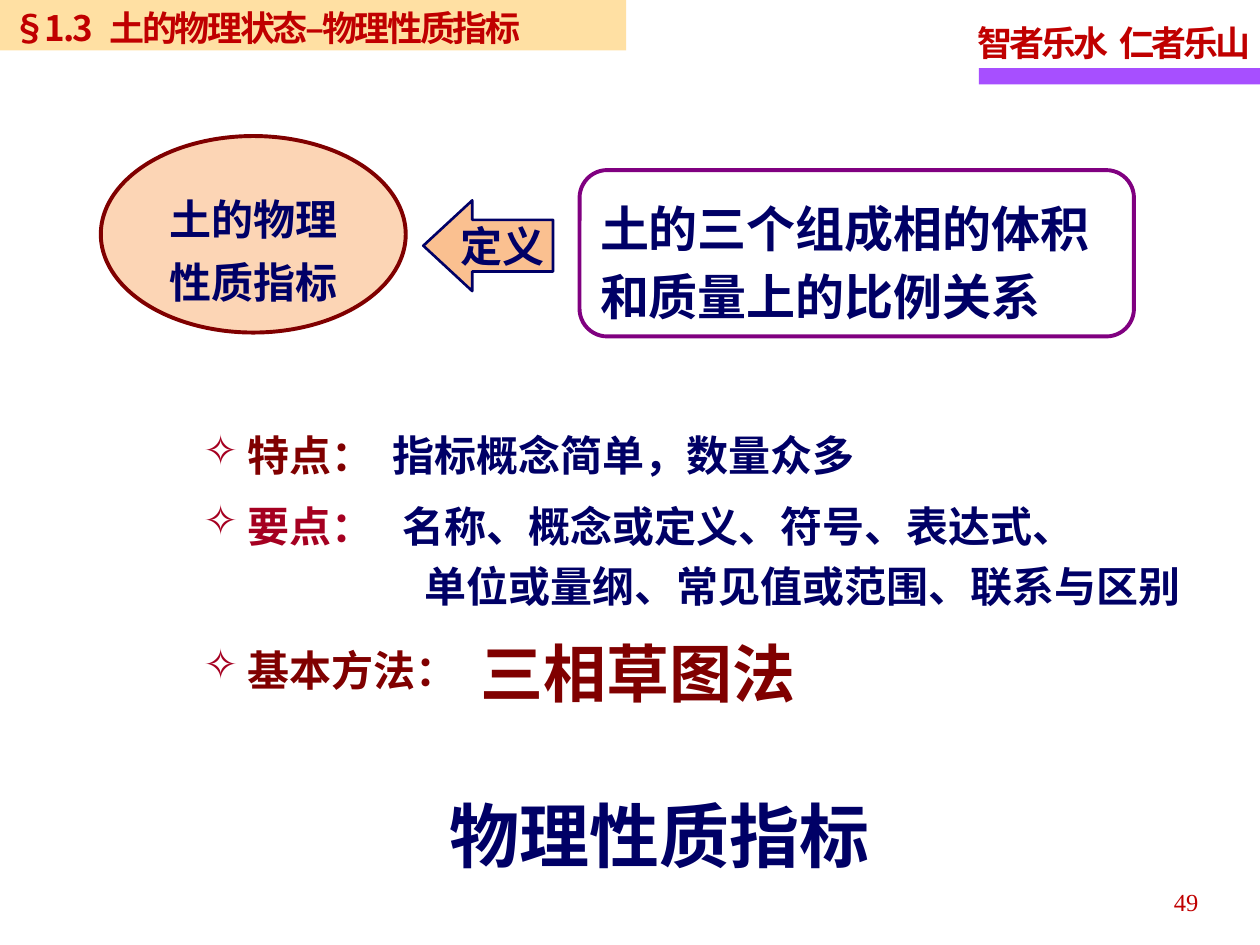
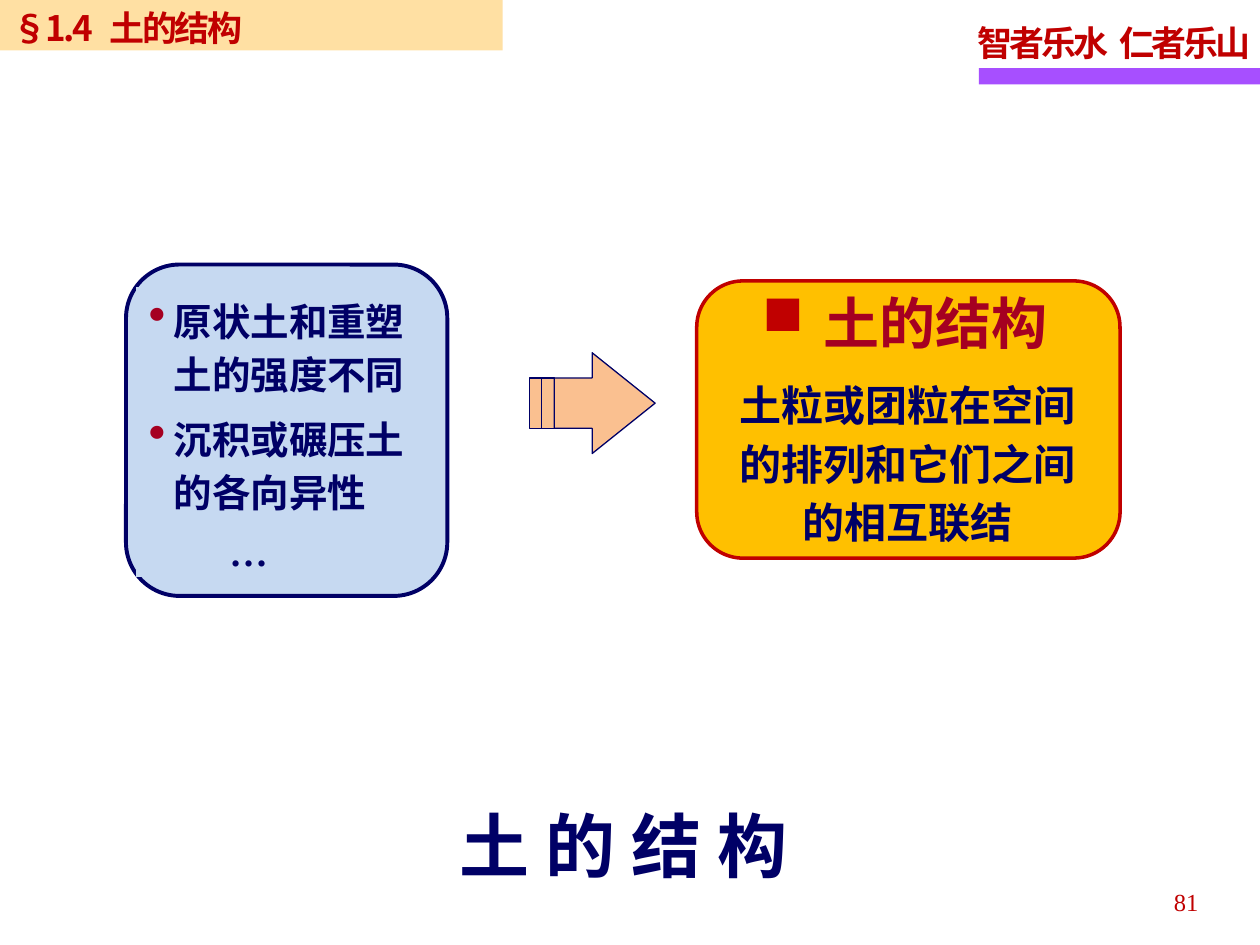
from lxml.etree import SubElement
from pptx import Presentation
from pptx.dml.color import RGBColor
from pptx.enum.shapes import MSO_SHAPE
from pptx.enum.text import MSO_ANCHOR, MSO_AUTO_SIZE, PP_ALIGN
from pptx.oxml.ns import qn
from pptx.util import Inches, Pt

COLORS = {
    "navy": "000066", "maroon": "800000", "crimson": "A50021", "red": "C00000",
    "purple": "800080", "violet": "A74FFF", "sand": "FFCC66", "peach": "FCD5B5",
    "orange": "FAC090", "gold": "FFC000", "sky": "C6D9F1",
}
COLUMNS, ROWS = 100, 75
CELL = Inches(0.1)
SERIF, SANS, HAN = "Times New Roman", "Arial", "Noto Sans CJK SC"


def cells(*lengths):
    return [round(length * CELL) for length in lengths]


def color(name):
    return RGBColor.from_string(COLORS[name])


def add_run(paragraph, text, size=24, font=HAN, ink="navy", bold=True, spacing=0):
    run = paragraph.add_run()
    run.text = text
    run.font.size = Pt(size)
    run.font.bold = bold
    run.font.color.rgb = color(ink)
    run.font.name = font
    properties = run._r.get_or_add_rPr()
    SubElement(properties, qn("a:ea"), typeface=HAN)
    if spacing:
        properties.set("spc", str(round(spacing * 100)))


def format_paragraph(paragraph, align=PP_ALIGN.LEFT, line=None, before=0,
                     margin=0, hanging=0, bullet=None, bullet_ink="crimson",
                     bullet_scale=100):
    paragraph.alignment = align
    paragraph.space_before = Pt(before)
    paragraph.space_after = Pt(0)
    if line:
        paragraph.line_spacing = Pt(line)
    properties = paragraph._p.get_or_add_pPr()
    margin, hanging = cells(margin, hanging)
    properties.set("marL", str(margin))
    properties.set("indent", str(-hanging))
    if bullet:
        bullet_color = SubElement(properties, qn("a:buClr"))
        SubElement(bullet_color, qn("a:srgbClr"), val=COLORS[bullet_ink])
        SubElement(properties, qn("a:buSzPct"), val=str(bullet_scale * 1000))
        SubElement(properties, qn("a:buChar"), char=bullet)
    else:
        SubElement(properties, qn("a:buNone"))


def para(*runs, **layout):
    return runs, layout


def write(frame, paragraphs, insets=(0, 0, 0, 0), anchor=MSO_ANCHOR.MIDDLE,
          wrap=True, layout=None, **style):
    frame.word_wrap = wrap
    frame.auto_size = MSO_AUTO_SIZE.NONE
    frame.vertical_anchor = anchor
    (frame.margin_left, frame.margin_top,
     frame.margin_right, frame.margin_bottom) = cells(*insets)
    if isinstance(paragraphs, str):
        paragraphs = [para((paragraphs, {}))]
    for index, (runs, own_layout) in enumerate(paragraphs):
        paragraph = frame.add_paragraph() if index else frame.paragraphs[0]
        format_paragraph(paragraph, **{**(layout or {}), **own_layout})
        for text, own_style in runs:
            add_run(paragraph, text, **{**style, **own_style})


def paint(shape, fill=None, line=None, width=2.25, opacity=100):
    shape.shadow.inherit = False
    if fill:
        shape.fill.solid()
        shape.fill.fore_color.rgb = color(fill)
        if opacity < 100:
            tint = shape.fill._xPr.find(".//" + qn("a:srgbClr"))
            SubElement(tint, qn("a:alpha"), val=str(opacity * 1000))
    else:
        shape.fill.background()
    if line:
        shape.line.color.rgb = color(line)
        shape.line.width = Pt(width)
    else:
        shape.line.fill.background()


def add_panel(slide, kind, place, adjust=(), **look):
    panel = slide.shapes.add_shape(kind, *cells(*place))
    for index, value in enumerate(adjust):
        panel.adjustments[index] = value
    paint(panel, **look)
    return panel.text_frame


def add_label(slide, place, content, **style):
    label = slide.shapes.add_textbox(*cells(*place))
    write(label.text_frame, content, **style)


def add_outline(slide, contours, fill, line, width):
    first, *others = contours
    builder = slide.shapes.build_freeform(*first[0], scale=CELL)
    builder.add_line_segments(first[1:], close=True)
    for contour in others:
        builder.move_to(*contour[0])
        builder.add_line_segments(contour[1:], close=True)
    paint(builder.convert_to_shape(), fill=fill, line=line, width=width)


def start_slide(deck, number, section, topic, band_width, title, title_place):
    slide = deck.slides.add_slide(deck.slide_layouts[5])
    add_panel(slide, MSO_SHAPE.RECTANGLE, (77.7, 5.4, 22.3, 1.3), fill="violet")
    add_label(slide, (76.6, 0.9, 23.6, 4.9),
              [para(("智者乐水", {}), (" ", {"spacing": 1.6}), ("仁者乐山", {}))],
              insets=(1, 0, 0, 0), wrap=False,
              size=20, font=SERIF, ink="red", spacing=-1.7)
    add_label(slide, (72.8, 69.6, 23.3, 4), number, insets=(1, 0, 1, 0),
              layout={"align": PP_ALIGN.RIGHT},
              size=14, font=SERIF, ink="red", bold=False)
    band = add_panel(slide, MSO_SHAPE.RECTANGLE, (0, 0, band_width, 4),
                     fill="sand", opacity=60)
    write(band, [para((section, {}), (" ", {"spacing": 5}), (topic, {}))],
          insets=(1, 0.3, 0, 0), wrap=False, size=20, ink="red", spacing=-1.4)
    heading = slide.shapes.title
    heading.left, heading.top, heading.width, heading.height = cells(*title_place)
    write(heading.text_frame, title, insets=(1, 0, 1, 0), size=40)
    return slide


def build_indexes(deck):
    slide = start_slide(deck, "49", "§1.3", "土的物理状态–物理性质指标", 49.7,
                        "物理性质指标", (34.7, 62.4, 37.6, 7.7))
    definition = add_panel(slide, MSO_SHAPE.ROUNDED_RECTANGLE,
                           (46, 13.5, 44, 13.2), line="purple")
    write(definition, "土的三个组成相的体积和质量上的比例关系",
          insets=(1, 0.6, 1, 0), layout={"line": 38.9}, size=28, font=SERIF)
    term = add_panel(slide, MSO_SHAPE.OVAL, (8, 10.8, 24.2, 15.6),
                     fill="peach", line="maroon")
    write(term, "土的物理性质指标", insets=(1, 1.6, 1, 0), font=SANS,
          layout={"align": PP_ALIGN.CENTER, "line": 35.7})

    features = add_panel(slide, MSO_SHAPE.ROUNDED_RECTANGLE, (14.9, 31.8, 83.3, 25.2))
    item = {"margin": 3.5, "hanging": 3.5, "bullet": "✧"}
    write(features, [
        para(("特点：", {"ink": "maroon"}), (" ", {"spacing": 5.5}),
             ("指标概念简单，数量众多", {}), **item),
        para(("要点：", {"ink": "crimson"}), (" ", {"spacing": 11}),
             ("名称、概念或定义、符号、表达式、", {}), before=5.6, **item),
        para(("单位或量纲、常见值或范围、联系与区别", {}), margin=17.6),
        para(("基本方法：", {"ink": "maroon"}), before=13.5, **item),
    ], insets=(0, 0.3, 0, 0), anchor=MSO_ANCHOR.TOP, layout={"line": 34.5})

    defines = add_panel(slide, MSO_SHAPE.LEFT_ARROW, (33.6, 15.9, 10.3, 7.2),
                        adjust=(0.57, 0.54), fill="orange", line="navy", width=1.5)
    centered = {"align": PP_ALIGN.CENTER}
    write(defines, "定义", layout=centered, font=SANS)
    method = add_panel(slide, MSO_SHAPE.ROUNDED_RECTANGLE, (36.6, 50.1, 28.1, 6.6))
    write(method, "三相草图法", layout=centered, size=36, font=SANS, ink="maroon")


def build_structure(deck):
    slide = start_slide(deck, "81", "§1.4", "土的结构", 39.9,
                        "土 的 结 构", (35.5, 63.2, 40.9, 7.7))
    add_panel(slide, MSO_SHAPE.ROUNDED_RECTANGLE, (55.3, 22.3, 33.6, 22),
              fill="gold", line="red", width=2)
    concept = add_panel(slide, MSO_SHAPE.ROUNDED_RECTANGLE, (60.2, 22.6, 25.4, 6))
    write(concept, [para(("土的结构", {}), margin=4.9, hanging=4.9,
                         bullet="■", bullet_ink="red")],
          size=32, font=SANS, ink="crimson")
    add_label(slide, (56.4, 29.2, 30.2, 13.9),
              "土粒或团粒在空间的排列和它们之间的相互联结", insets=(0, 0.6, 0, 0),
              layout={"align": PP_ALIGN.CENTER, "margin": 1, "line": 33.4}, font=SERIF)

    top, bottom = 30, 34.4
    arrow = [(47.3, 28.2), (47.3, top), (44.1, top), (44.1, bottom),
             (47.3, bottom), (47.3, 36.3), (52.3, 32.2)]
    stripes = [[(left, top), (left, bottom), (right, bottom), (right, top)]
               for left, right in ((43.1, 43.8), (42.5, 42.8))]
    add_outline(slide, [arrow, *stripes], fill="orange", line="navy", width=0.75)

    add_panel(slide, MSO_SHAPE.ROUNDED_RECTANGLE, (10, 21, 25.5, 26.3),
              fill="sky", line="navy")
    evidence = add_panel(slide, MSO_SHAPE.RECTANGLE, (10.8, 22.8, 21.7, 23), fill="sky")
    item = {"margin": 3, "hanging": 2, "bullet": "•", "bullet_scale": 130}
    write(evidence, [
        para(("原状土和", {"font": SERIF}), ("重塑土的强度不同", {}), **item),
        para(("沉积或碾压土的各向异性", {"font": SERIF}), before=6.8, **item),
        para(("…", {"font": SERIF}), margin=7.4, before=3.3),
    ], insets=(0, 0.3, 0, 0), anchor=MSO_ANCHOR.TOP, layout={"line": 30.3},
        size=22, font=SANS)


def main():
    deck = Presentation()
    deck.slide_width, deck.slide_height = cells(COLUMNS, ROWS)
    build_indexes(deck)
    build_structure(deck)
    deck.save("out.pptx")


if __name__ == "__main__":
    main()
